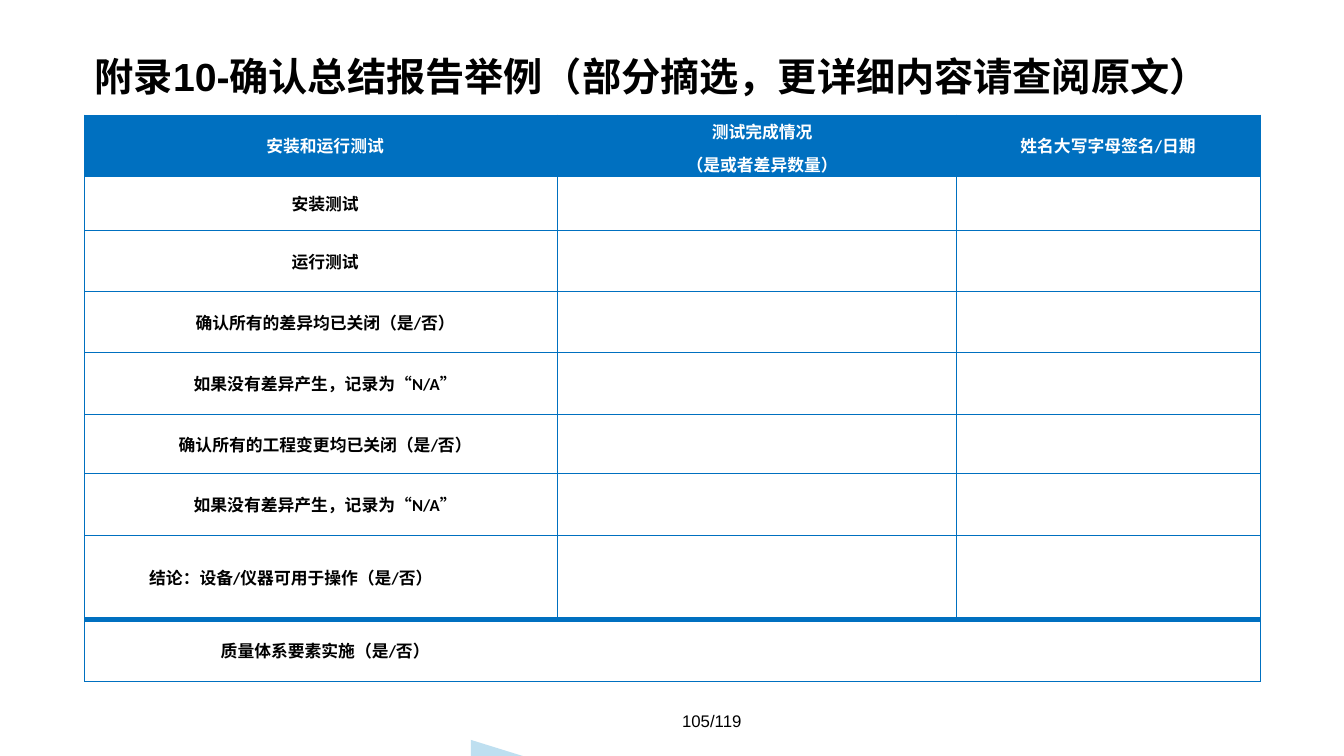
"""Build the validation summary report slide with its test sign-off table."""
from dataclasses import dataclass

from lxml import etree
from pptx import Presentation
from pptx import util as u
from pptx.dml.color import RGBColor
from pptx.enum import shapes, text
from pptx.oxml.ns import qn


@dataclass(frozen=True)
class Theme:
    accent: str = "0070C0"
    corner: str = "BEDFF0"
    ink: str = "000000"
    paper: str = "FFFFFF"
    heading_font: str = "Arial"
    table_font: str = "Calibri"
    title_size: float = 28
    body_size: float = 12
    thin: float = 0.5
    thick: float = 4


class ReportSlide:
    def __init__(self, deck, theme):
        self.theme = theme
        self.page = deck.slides.add_slide(deck.slide_layouts[5])

    def place(self, shape, area):
        shape.left, shape.top, shape.width, shape.height = map(u.Inches, area)

    def format_text(self, frame, font, size, color, bold, align):
        for para in frame.paragraphs:
            para.alignment = align
            for span in para.runs:
                span.font.name = font
                span.font.size = u.Pt(size)
                span.font.bold = bold
                span.font.color.rgb = RGBColor.from_string(color)

    def title(self, words, area):
        box = self.page.shapes.title
        self.place(box, area)
        frame = box.text_frame
        frame.text = words
        frame.auto_size = text.MSO_AUTO_SIZE.NONE
        frame.vertical_anchor = text.MSO_ANCHOR.MIDDLE
        frame.paragraphs[0].line_spacing = 0.9
        self.format_text(frame, self.theme.heading_font, self.theme.title_size,
                         self.theme.ink, True, text.PP_ALIGN.LEFT)

    def page_number(self, words, area):
        box = self.page.shapes.add_textbox(*map(u.Inches, area))
        frame = box.text_frame
        frame.word_wrap = True
        frame.vertical_anchor = text.MSO_ANCHOR.MIDDLE
        frame.text = words
        self.format_text(frame, self.theme.heading_font, self.theme.body_size,
                         self.theme.ink, False, text.PP_ALIGN.CENTER)

    def corner(self, area):
        shape = self.page.shapes.add_shape(
            shapes.MSO_SHAPE.RIGHT_TRIANGLE, *map(u.Inches, area))
        shape.shadow.inherit = False
        shape.fill.solid()
        shape.fill.fore_color.rgb = RGBColor.from_string(self.theme.corner)
        shape.line.fill.background()

    def border(self, cell, side, width):
        props = cell._tc.get_or_add_tcPr()
        line = etree.SubElement(props, qn(f"a:ln{side}"), w=str(u.Pt(width)))
        if width:
            fill = etree.SubElement(line, qn("a:solidFill"))
            etree.SubElement(fill, qn("a:srgbClr"), val=self.theme.accent)
        else:
            etree.SubElement(line, qn("a:noFill"))

    def cell(self, cell, words, header, indent):
        cell.margin_left = u.Inches(indent)
        cell.margin_right = cell.margin_top = cell.margin_bottom = 0
        cell.vertical_anchor = text.MSO_ANCHOR.MIDDLE
        if header:
            cell.fill.solid()
            cell.fill.fore_color.rgb = RGBColor.from_string(self.theme.accent)
        else:
            cell.fill.background()
        if not words:
            return
        frame = cell.text_frame
        frame.text = words
        color = self.theme.paper if header else self.theme.ink
        self.format_text(frame, self.theme.table_font, self.theme.body_size,
                         color, True, text.PP_ALIGN.CENTER)
        for para in frame.paragraphs[1:]:
            para.space_before = u.Pt(3.8)
        if len(frame.paragraphs) > 1:
            cell.vertical_anchor = text.MSO_ANCHOR.TOP
            for para in frame.paragraphs:
                para.line_spacing = 1.15

    def table(self, headings, labels, area, widths, heights, indents):
        rows = [headings] + [[label, "", ""] for label in labels]
        last_row, last_column = len(rows) - 1, len(widths) - 1
        table = self.page.shapes.add_table(
            len(rows), len(widths), *map(u.Inches, area)).table
        table.first_row = table.horz_banding = False
        for column, width in zip(table.columns, widths):
            column.width = u.Inches(width)
        for row, height in zip(table.rows, heights):
            row.height = u.Inches(height)
        thin, thick = self.theme.thin, self.theme.thick
        for r, row in enumerate(rows):
            inner = 0 if r == last_row else thin
            for c, words in enumerate(row):
                cell = table.cell(r, c)
                self.border(cell, "L", inner if c else thin)
                self.border(cell, "R", inner if c < last_column else thin)
                self.border(cell, "T", thick if r == last_row else thin)
                self.border(cell, "B", thick if r == last_row - 1 else thin)
                self.cell(cell, words, r == 0, indents[c])
        return table


def main():
    deck = Presentation()
    deck.slide_width, deck.slide_height = u.Inches(13.33), u.Inches(7.5)
    slide = ReportSlide(deck, Theme())
    slide.corner((4.67, 7.34, 0.58, 0.18))
    slide.title("附录10-确认总结报告举例（部分摘选，更详细内容请查阅原文）",
                (0.84, 0.43, 11.65, 0.71))
    headings = ["安装和运行测试", "测试完成情况\n（是或者差异数量）", "姓名大写字母签名/日期"]
    no_difference = "如果没有差异产生，记录为“N/A”"
    conclusion = "结论：设备/仪器可用于操作（是/否）"
    labels = ["安装测试", "运行测试", "确认所有的差异均已关闭（是/否）", no_difference,
              "确认所有的工程变更均已关闭（是/否）", no_difference, conclusion,
              "质量体系要素实施（是/否）"]
    table = slide.table(
        headings, labels, (0.84, 1.14, 11.65, 5.59), (4.69, 3.95, 3.02),
        (0.61, 0.54, 0.6, 0.61, 0.61, 0.59, 0.61, 0.84, 0.61), (0.08, 0.11, 0))
    table.cell(labels.index(conclusion) + 1, 0).margin_right = u.Inches(0.68)
    slide.page_number("105/119", (5.56, 6.95, 3, 0.4))
    deck.save("out.pptx")


if __name__ == "__main__":
    main()
